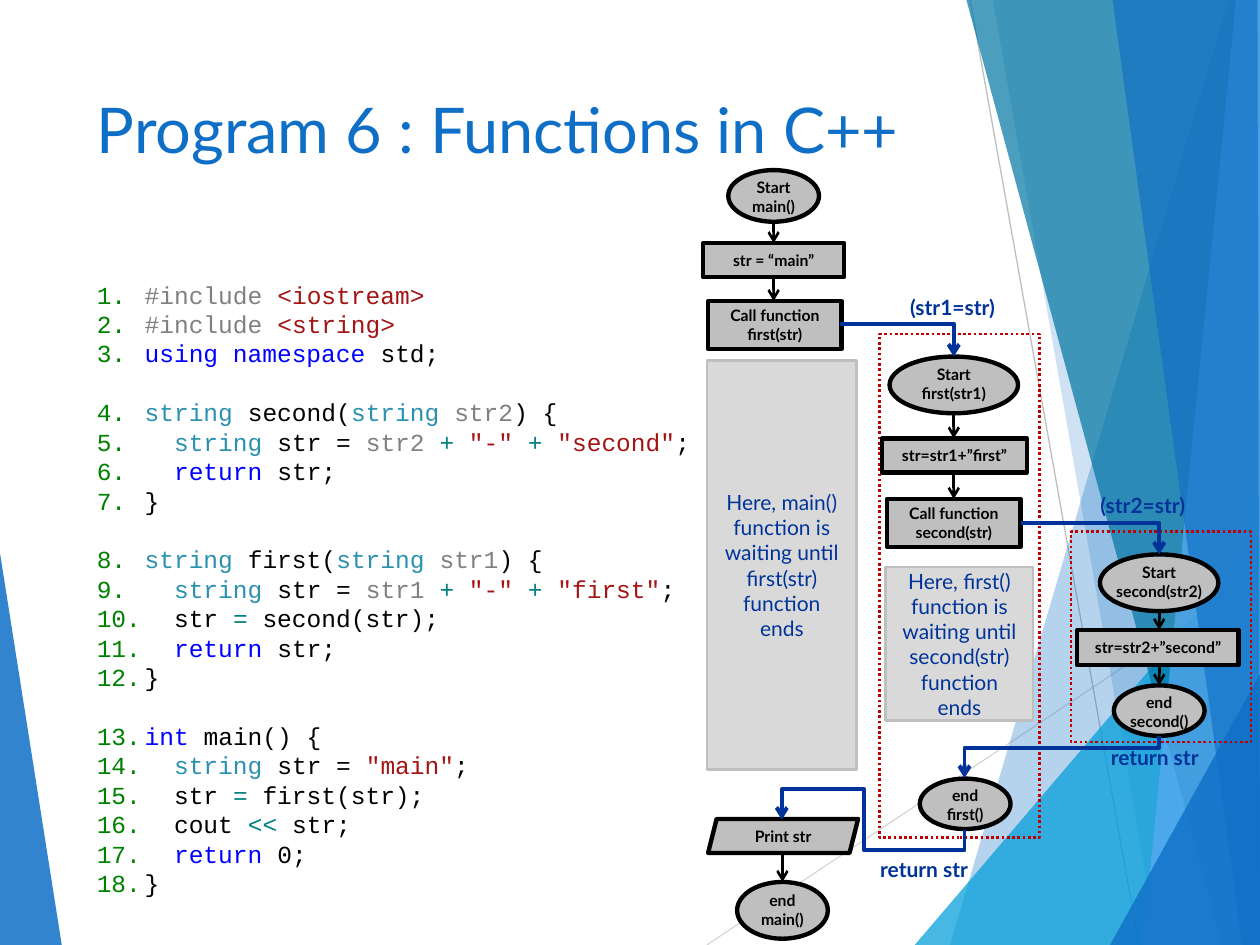
from dataclasses import dataclass
from typing import NamedTuple

from lxml import etree
from pptx import Presentation
from pptx.dml.color import RGBColor
from pptx.enum.dml import MSO_LINE
from pptx.enum.shapes import MSO_CONNECTOR, MSO_SHAPE
from pptx.enum.text import MSO_ANCHOR, PP_ALIGN
from pptx.oxml.ns import qn
from pptx.util import Inches, Pt

RECTANGLE, ELLIPSE = MSO_SHAPE.RECTANGLE, MSO_SHAPE.OVAL
PARALLELOGRAM = MSO_SHAPE.PARALLELOGRAM
STRAIGHT, ELBOW = MSO_CONNECTOR.STRAIGHT, MSO_CONNECTOR.ELBOW
TOP, MIDDLE = MSO_ANCHOR.TOP, MSO_ANCHOR.MIDDLE
LEFT, CENTER = PP_ALIGN.LEFT, PP_ALIGN.CENTER
DOTTED = MSO_LINE.ROUND_DOT

BLUE = RGBColor(0x0F, 0x6F, 0xC6)
CYAN = RGBColor(0x00, 0x9D, 0xD9)
TEAL = RGBColor(0x00, 0x76, 0xA3)
SKY = RGBColor(0x59, 0xAA, 0xF2)
NAVY = RGBColor(0x00, 0x33, 0x99)
CRIMSON = RGBColor(0xC0, 0x00, 0x00)
BLACK = RGBColor(0x00, 0x00, 0x00)
SILVER = RGBColor(0xBF, 0xBF, 0xBF)
LIGHT = RGBColor(0xD9, 0xD9, 0xD9)
PLAIN = BLACK
MUTED = RGBColor(0x80, 0x80, 0x80)
STRING = RGBColor(0xA3, 0x15, 0x15)
KEYWORD = RGBColor(0x00, 0x00, 0xFF)
TYPE = RGBColor(0x2B, 0x91, 0xAF)
OPERATOR = RGBColor(0x00, 0x80, 0x80)
NUMBER = RGBColor(0x00, 0x80, 0x00)

BODY_FONT, CODE_FONT = "Lato", "Courier New"
CODE_PITCH = Pt(16.8)


class Box(NamedTuple):
    left: float
    top: float
    width: float
    height: float

    def lengths(self) -> list:
        return [Inches(value) for value in self]


@dataclass
class Facet:
    color: RGBColor
    opacity: int
    points: list


@dataclass
class Node:
    kind: int
    box: Box
    text: str


@dataclass
class Elbow:
    box: Box
    preset: str
    rotation: int = 0
    flipped: bool = False
    adjustments: tuple = ()


FACETS = [
    Facet(BLUE, 85, [(0, 4.39), (0.49, 7.5), (0, 7.5)]),
    Facet(BLUE, 30, [(9.75, 0), (7.54, 7.5), (10, 7.5), (10, 0)]),
    Facet(BLUE, 20, [(7.88, 0), (9.19, 7.5), (10, 7.5), (10, 0)]),
    Facet(CYAN, 72, [(7.26, 7.5), (10, 4.29), (10, 7.5)]),
    Facet(TEAL, 70, [(7.67, 0), (9.7, 7.5), (10, 7.5), (10, 0)]),
    Facet(SKY, 70, [(9.81, 0), (9.07, 7.5), (10, 7.5), (10, 0)]),
    Facet(BLUE, 65, [(8.83, 0), (9.86, 7.5), (10, 7.5), (9.98, 0)]),
    Facet(BLUE, 80, [(8.81, 7.5), (10, 5.35), (10, 7.5)]),
]
NODES = [
    Node(ELLIPSE, Box(5.78, 1.35, 0.72, 0.41), "Start\nmain()"),
    Node(RECTANGLE, Box(5.58, 1.93, 1.12, 0.27), "str = “main”"),
    Node(RECTANGLE, Box(5.62, 2.39, 1.06, 0.38), "Call function\nfirst(str)"),
    Node(PARALLELOGRAM, Box(5.62, 6.5, 1.19, 0.27), "Print str"),
    Node(ELLIPSE, Box(5.85, 7, 0.72, 0.45), "end\nmain()"),
    Node(ELLIPSE, Box(7.06, 2.83, 1.02, 0.45), "Start\nfirst(str1)"),
    Node(RECTANGLE, Box(7, 3.48, 1.15, 0.27), "str=str1+”first”"),
    Node(RECTANGLE, Box(7.04, 3.96, 1.06, 0.38), "Call function\nsecond(str)"),
    Node(ELLIPSE, Box(7.3, 6.18, 0.72, 0.4), "end\nfirst()"),
    Node(ELLIPSE, Box(8.73, 4.4, 0.94, 0.45), "Start\nsecond(str2)"),
    Node(RECTANGLE, Box(8.55, 5, 1.28, 0.28), "str=str2+”second”"),
    Node(ELLIPSE, Box(8.84, 5.44, 0.72, 0.4), "end\nsecond()"),
]
ARROWS = [(6.14, 1.75, 1.93), (6.14, 2.2, 2.39), (6.21, 6.77, 7),
          (7.57, 3.28, 3.48), (7.57, 3.75, 3.96),
          (9.2, 4.85, 5), (9.2, 5.28, 5.44)]
ELBOWS = [
    Elbow(Box(6.67, 2.57, 0.9, 0.26), "bentConnector2"),
    Elbow(Box(8.1, 4.15, 1.1, 0.25), "bentConnector2"),
    Elbow(Box(8.26, 5.24, 0.33, 1.54), "bentConnector3", 90, False, (0.27,)),
    Elbow(Box(6.89, 5.82, 0.08, 1.45), "bentConnector5", 90, True, (-2.06, 0.55, 4)),
]
FRAMES = [Box(6.98, 2.65, 1.27, 4), Box(8.5, 4.22, 1.43, 1.67)]
WAITS = [
    (Box(5.61, 2.86, 1.19, 3.25), "Here, main() function is waiting until first(str) function ends"),
    (Box(7.03, 4.5, 1.17, 1.22), "Here, first() function is waiting until second(str) function ends"),
]
LABELS = [
    (Box(7.03, 2.29, 1.06, 0.3), "(str1=str)"),
    (Box(8.54, 3.86, 1.06, 0.3), "(str2=str)"),
    (Box(8.66, 5.86, 1.01, 0.3), "return str"),
    (Box(6.83, 6.75, 1.01, 0.3), "return str"),
]


def include(header: str) -> list:
    return [("#include ", MUTED), (header, STRING)]


def signature(name: str, parameter: str) -> list:
    return [("string", TYPE), (f" {name}(", PLAIN), ("string ", TYPE), (parameter, MUTED), (") {", PLAIN)]


def joined(parameter: str, suffix: str) -> list:
    return [("  string ", TYPE), ("str = ", PLAIN), (f"{parameter} ", MUTED), ("+ ", OPERATOR),
            ('"-" ', STRING), ("+ ", OPERATOR), (f'"{suffix}"', STRING), (";", PLAIN)]


def assigned(function: str) -> list:
    return [("  str ", PLAIN), ("=", OPERATOR), (f" {function}(str);", PLAIN)]


RETURN_STR = [("  return ", KEYWORD), ("str;", PLAIN)]
CLOSE = [("}", PLAIN)]
CODE_BLOCKS = [
    [include("<iostream>"), include("<string>"), [("using namespace ", KEYWORD), ("std;", PLAIN)]],
    [signature("second", "str2"), joined("str2", "second"), RETURN_STR, CLOSE],
    [signature("first", "str1"), joined("str1", "first"), assigned("second"), RETURN_STR, CLOSE],
    [[("int", KEYWORD), (" main() {", PLAIN)],
     [("  string ", TYPE), ("str = ", PLAIN), ('"main"', STRING), (";", PLAIN)],
     assigned("first"),
     [("  cout ", PLAIN), ("<< ", OPERATOR), ("str;", PLAIN)],
     [("  return", KEYWORD), (" 0;", PLAIN)], CLOSE],
]


def write(shape, text: str, size: int, color: RGBColor, bold=False, wrap=True, anchor=MIDDLE, align=CENTER) -> None:
    frame = shape.text_frame
    frame.word_wrap, frame.vertical_anchor = wrap, anchor
    frame.text = text
    for paragraph in frame.paragraphs:
        paragraph.alignment = align
        font = paragraph.font
        font.name, font.size, font.bold, font.color.rgb = BODY_FONT, Pt(size), bold, color


def add_facet(slide, facet: Facet) -> None:
    start, *rest = [(round(x * 100), round(y * 100)) for x, y in facet.points]
    builder = slide.shapes.build_freeform(*start, scale=Inches(0.01))
    builder.add_line_segments(rest, close=True)
    shape = builder.convert_to_shape()
    shape.shadow.inherit = False
    shape.line.fill.background()
    shape.fill.solid()
    shape.fill.fore_color.rgb = facet.color
    color = shape._element.spPr.find(f".//{qn('a:srgbClr')}")
    etree.SubElement(color, qn("a:alpha"), val=str(facet.opacity * 1000))


def add_panel(slide, kind: int, box: Box, fill, line: RGBColor, width: float):
    shape = slide.shapes.add_shape(kind, *box.lengths())
    shape.shadow.inherit = False
    if fill is None:
        shape.fill.background()
    else:
        shape.fill.solid()
        shape.fill.fore_color.rgb = fill
    shape.line.color.rgb, shape.line.width = line, Pt(width)
    return shape


def add_node(slide, node: Node) -> None:
    shape = add_panel(slide, node.kind, node.box, SILVER, BLACK, 2.5)
    rounded = node.kind == ELLIPSE
    write(shape, node.text, 9, BLACK, bold=True, wrap=False, anchor=TOP if rounded else MIDDLE)
    if rounded:
        shape.text_frame.margin_top = 0


def add_line(slide, kind: int, ends: tuple, color: RGBColor, width: float, arrow=True):
    connector = slide.shapes.add_connector(kind, *[Inches(value) for value in ends])
    connector.line.color.rgb, connector.line.width = color, Pt(width)
    if arrow:
        etree.SubElement(connector.line._get_or_add_ln(), qn("a:tailEnd"), type="arrow")
    etree.SubElement(connector._element.spPr, qn("a:effectLst"))
    return connector


def add_elbow(slide, elbow: Elbow) -> None:
    left, top, width, height = elbow.box
    connector = add_line(slide, ELBOW, (left, top, left + width, top + height), NAVY, 2.25)
    properties = connector._element.spPr
    transform = properties.find(qn("a:xfrm"))
    transform.set("rot", str(elbow.rotation * 60000))
    transform.set("flipH", str(int(elbow.flipped)))
    geometry = properties.find(qn("a:prstGeom"))
    geometry.set("prst", elbow.preset)
    for index, value in enumerate(elbow.adjustments, start=1):
        etree.SubElement(geometry.find(qn("a:avLst")), qn("a:gd"),
                         name=f"adj{index}", fmla=f"val {round(value * 100000)}")


def add_code(slide, box: Box) -> None:
    frame = slide.shapes.add_textbox(*box.lengths()).text_frame
    frame.word_wrap = True
    lines = [(line, block > 0 and index == 0)
             for block, rows in enumerate(CODE_BLOCKS) for index, line in enumerate(rows)]
    for number, (line, opens_block) in enumerate(lines):
        paragraph = frame.add_paragraph() if number else frame.paragraphs[0]
        properties = paragraph._p.get_or_add_pPr()
        properties.set("marL", str(Inches(0.38)))
        properties.set("indent", str(-Inches(0.38)))
        bullet_color = etree.SubElement(properties, qn("a:buClr"))
        etree.SubElement(bullet_color, qn("a:srgbClr"), val=str(NUMBER))
        etree.SubElement(properties, qn("a:buFont"), typeface=CODE_FONT)
        etree.SubElement(properties, qn("a:buAutoNum"), type="arabicPeriod")
        paragraph.line_spacing = CODE_PITCH
        paragraph.space_before = CODE_PITCH if opens_block else Pt(0)
        paragraph.font.name, paragraph.font.size = CODE_FONT, Pt(14)
        for text, color in line:
            run = paragraph.add_run()
            run.text, run.font.color.rgb = text, color


def main() -> None:
    presentation = Presentation()
    presentation.slide_width, presentation.slide_height = Inches(10), Inches(7.5)
    slide = presentation.slides.add_slide(presentation.slide_layouts[6])
    add_line(slide, STRAIGHT, (5.61, 7.5, 10, 4.57), LIGHT, 0.75, arrow=False)
    add_line(slide, STRAIGHT, (7.7, 0, 9.04, 7.5), SILVER, 0.75, arrow=False)
    for facet in FACETS:
        add_facet(slide, facet)
    title = slide.shapes.add_textbox(*Box(0.67, 0.67, 8.42, 1.44).lengths())
    write(title, "Program 6 : Functions in C++", 36, BLUE, anchor=TOP, align=LEFT)
    add_code(slide, Box(0.67, 2.17, 9.2, 4.97))
    for box in FRAMES:
        add_panel(slide, RECTANGLE, box, None, CRIMSON, 1.5).line.dash_style = DOTTED
    for node in NODES:
        add_node(slide, node)
    for x, top, bottom in ARROWS:
        add_line(slide, STRAIGHT, (x, top, x, bottom), BLACK, 1.5)
    for elbow in ELBOWS:
        add_elbow(slide, elbow)
    for box, text in WAITS:
        write(add_panel(slide, RECTANGLE, box, LIGHT, SILVER, 1.5), text, 12, NAVY)
    for box, text in LABELS:
        write(slide.shapes.add_textbox(*box.lengths()), text, 12, NAVY, bold=True, wrap=False, anchor=TOP)
    presentation.save("out.pptx")


if __name__ == "__main__":
    main()
